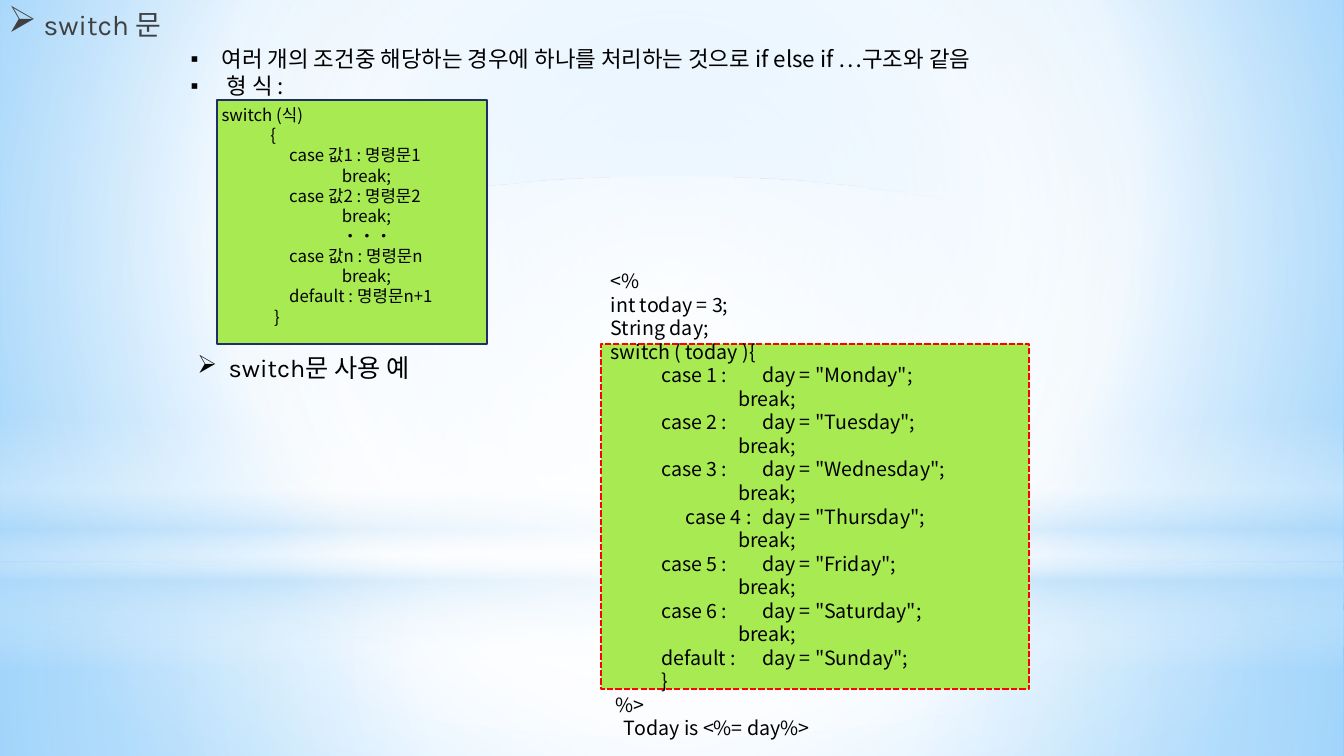
"""Build a slide that explains the switch statement with its syntax and an example."""
from dataclasses import dataclass

from lxml import etree
from pptx import Presentation
from pptx import util as u
from pptx.dml.color import RGBColor
from pptx.enum import dml, shapes, text
from pptx.oxml.ns import qn


@dataclass(frozen=True)
class Theme:
    heading_font: str = "Karla"
    body_font: str = "Noto Sans CJK KR"
    ink: str = "000000"
    title_ink: str = "404040"
    panel: str = "A7EA52"
    navy: str = "1F2E69"
    red: str = "FF0000"
    white: str = "FFFFFF"
    haze: str = "B4DCFA"
    sky: str = "9ED5FF"
    deep_sky: str = "5BB9FF"
    title_size: int = 20
    heading_size: int = 18
    bullet_size: int = 16
    example_size: int = 14
    syntax_size: int = 12


theme = Theme()


def set_gradient(fill, stops, focus=None):
    """Fill with (position, colour, opacity) stops, round a focus or top to bottom."""
    fill.solid()
    solid = fill._xPr.find(qn("a:solidFill"))
    gradient = etree.Element(qn("a:gradFill"), rotWithShape="1")
    stop_list = etree.SubElement(gradient, qn("a:gsLst"))
    for position, color, opacity in stops:
        stop = etree.SubElement(stop_list, qn("a:gs"), pos=str(position * 1000))
        value = etree.SubElement(stop, qn("a:srgbClr"), val=color)
        if opacity < 100:
            etree.SubElement(value, qn("a:alpha"), val=str(opacity * 1000))
    if focus:
        circle = etree.SubElement(gradient, qn("a:path"), path="circle")
        sides = {side: str(share * 1000) for side, share in zip("ltrb", focus)}
        etree.SubElement(circle, qn("a:fillToRect"), **sides)
    else:
        etree.SubElement(gradient, qn("a:lin"), ang="5400000", scaled="0")
    solid.getparent().replace(solid, gradient)


def write(shape, box, lines, font, size, color, align, bullet=None,
          indent=(0.31, -0.31), bullet_scale=100, wrap=True):
    """Place a text shape and write its formatted paragraphs."""
    shape.left, shape.top, shape.width, shape.height = map(u.Inches, box)
    frame = shape.text_frame
    frame.text = "\n".join(lines)
    frame.word_wrap = wrap
    frame.auto_size = text.MSO_AUTO_SIZE.NONE
    frame.vertical_anchor = text.MSO_ANCHOR.TOP
    for paragraph in frame.paragraphs:
        paragraph.alignment = align
        paragraph.space_before = u.Pt(0)
        if bullet:
            properties = paragraph._p.get_or_add_pPr()
            properties.set("marL", str(u.Inches(indent[0])))
            properties.set("indent", str(u.Inches(indent[1])))
            etree.SubElement(properties, qn("a:buSzPct"), val=str(bullet_scale * 1000))
            etree.SubElement(properties, qn("a:buChar"), char=bullet)
        for run in paragraph.runs:
            run.font.name = font
            run.font.size = u.Pt(size)
            run.font.color.rgb = RGBColor.from_string(color)
            run.font._element.find(qn("a:latin")).addnext(
                etree.Element(qn("a:ea"), typeface=theme.body_font))


presentation = Presentation()
presentation.slide_width = u.Inches(13.33)
presentation.slide_height = u.Inches(7.5)
slide = presentation.slides.add_slide(presentation.slide_layouts[1])
title, body = slide.placeholders

set_gradient(slide.background.fill,
             [(0, theme.sky, 100), (60, theme.white, 100), (100, theme.deep_sky, 100)],
             (20, 10, 20, 60))

centre = (50, 50, 50, 50)
rectangle, oval = shapes.MSO_SHAPE.RECTANGLE, shapes.MSO_SHAPE.OVAL
backdrop = [
    (rectangle, 5.58, 1.92, centre,
     [(0, theme.white, 91), (37, theme.white, 76), (100, theme.haze, 79)]),
    (rectangle, 0, 5.58, centre,
     [(0, theme.white, 89), (48, theme.white, 62), (100, theme.haze, 79)]),
    (rectangle, 4.12, 2.5, None,
     [(0, theme.white, 0), (29, theme.white, 30), (45, theme.haze, 40),
      (55, theme.white, 26), (65, theme.haze, 60), (100, theme.white, 0)]),
    (oval, 1.75, 5.58, centre, [(0, theme.white, 100), (56, theme.white, 0)]),
]
for kind, top, height, focus, stops in backdrop:
    shape = slide.shapes.add_shape(kind, 0, u.Inches(top), presentation.slide_width, u.Inches(height))
    shape.shadow.inherit = False
    shape.line.fill.background()
    set_gradient(shape.fill, stops, focus)

panels = [
    ((5.96, 3.41, 4.25, 3.43), theme.red, 1.5, dml.MSO_LINE.SQUARE_DOT),
    ((2.15, 0.99, 2.68, 2.42), theme.navy, 1.25, dml.MSO_LINE.SOLID),
]
for box, color, width, dash in panels:
    panel = slide.shapes.add_shape(rectangle, *map(u.Inches, box))
    panel.shadow.inherit = False
    panel.fill.solid()
    panel.fill.fore_color.rgb = RGBColor.from_string(theme.panel)
    panel.line.color.rgb = RGBColor.from_string(color)
    panel.line.width = u.Pt(width)
    panel.line.dash_style = dash

for placeholder in (title, body):
    slide.shapes._spTree.append(placeholder._element)

left, justify = text.PP_ALIGN.LEFT, text.PP_ALIGN.JUSTIFY
write(title, (-0.07, 0.02, 2.44, 0.36), [" switch 문"], theme.heading_font,
      theme.title_size, theme.title_ink, left, "➢", (0.25, -0.2), 130)
write(body, (1.79, 0.4, 9.53, 0.91),
      ["여러 개의 조건중 해당하는 경우에 하나를 처리하는 것으로 if else if …구조와 같음", " 형 식 :"],
      theme.body_font, theme.bullet_size, theme.ink, justify, "▪")

case_indent, break_indent = " " * 18, " " * 32
syntax = ["switch (식)", " " * 13 + "{"]
for label in ("1", "2", "n"):
    if label == "n":
        syntax.append(break_indent + "‧‧‧")
    syntax += [f"{case_indent}case 값{label} : 명령문{label}", break_indent + "break;"]
syntax += [case_indent + "default : 명령문n+1", " " * 14 + "}"]

example = ["<%", "int today = 3;", "String day;", "switch ( today ){"]
days = ["Monday", "Tuesday", "Wednesday", "Thursday", "Friday", "Saturday"]
for number, day in enumerate(days, 1):
    lead = " " * 17 if number == 4 else "\t"
    example += [f'{lead}case {number} : \tday = "{day}";', " " * 29 + "break;"]
example += ['\tdefault : \tday = "Sunday";', "\t}", " %>", "   Today is <%= day%>"]

for box, lines, size in [((5.96, 2.62, 5, 4.81), example, theme.example_size),
                         ((2.1, 0.99, 2.97, 2.32), syntax, theme.syntax_size)]:
    code = slide.shapes.add_textbox(0, 0, 0, 0)
    write(code, box, lines, theme.body_font, size, theme.ink, justify)

usage = slide.shapes.add_textbox(0, 0, 0, 0)
write(usage, (1.86, 3.45, 2.4, 0.4), ["switch문 사용 예"], theme.heading_font,
      theme.heading_size, theme.ink, left, "➢", wrap=False)

presentation.save("out.pptx")
